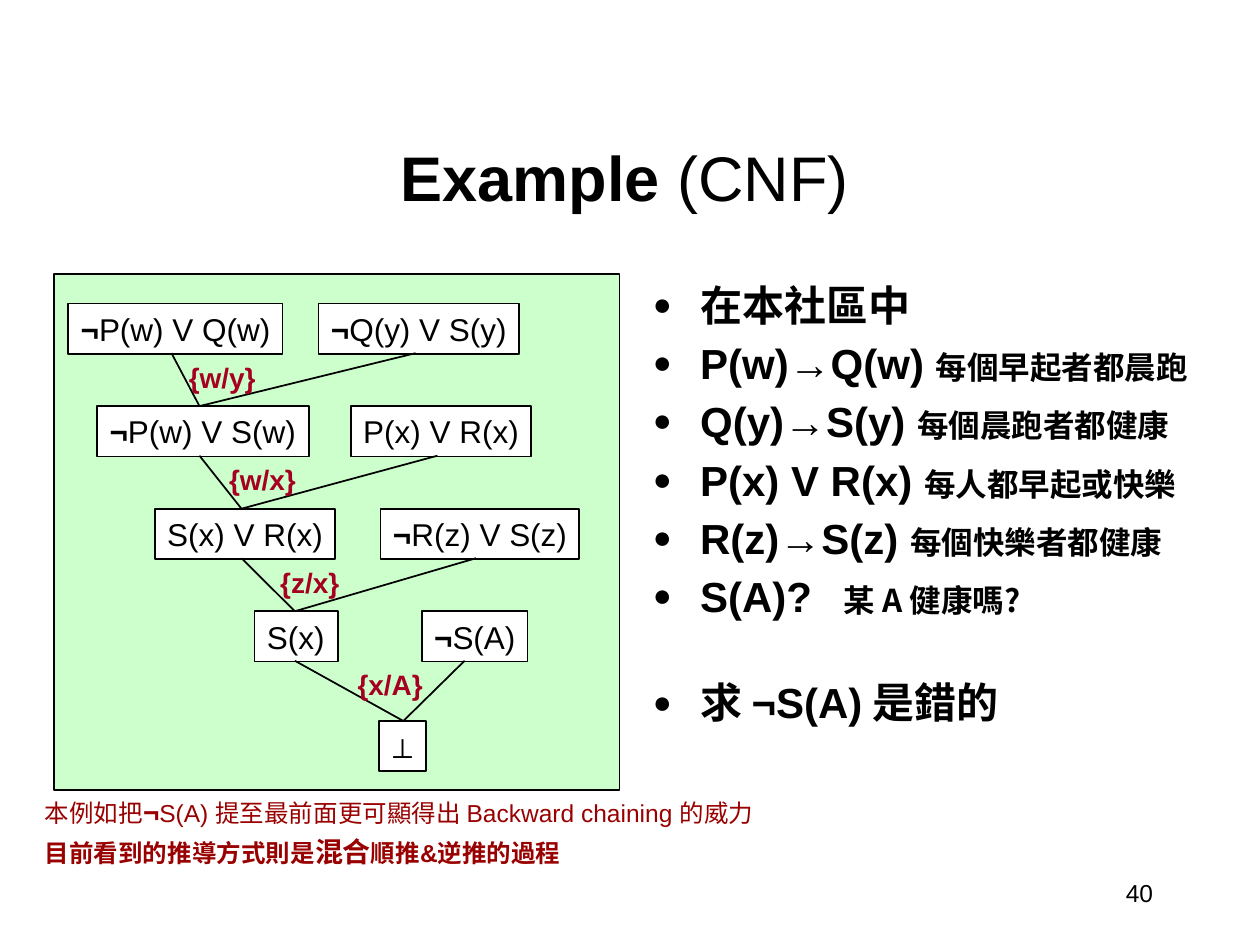
"""Build a slide showing a resolution proof in conjunctive normal form."""
from lxml import etree
from pptx import Presentation
from pptx.dml.color import RGBColor
from pptx.enum.shapes import MSO_CONNECTOR as CONN, MSO_SHAPE as SHAPE
from pptx.enum.text import MSO_ANCHOR as ANCHOR, MSO_AUTO_SIZE as AUTO, PP_ALIGN as ALIGN
from pptx.oxml.ns import qn
from pptx.util import Pt

BLACK, WHITE, GREEN, RED, DARK_RED = "000000", "FFFFFF", "CCFFCC", "A50021", "990000"
LATIN, CJK = "Arial", "Noto Sans CJK SC"

TITLE = [("Example ", 36, True), ("(CNF)", 36, False)]
FACTS = [
    ("在本社區中", ""),
    ("P(w)→Q(w) ", "每個早起者都晨跑"),
    ("Q(y)→S(y) ", "每個晨跑者都健康"),
    ("P(x) V R(x) ", "每人都早起或快樂"),
    ("R(z)→S(z) ", "每個快樂者都健康"),
    ("S(A)?", "\u3000某 A 健康嗎?"),
]
GOAL = [("求 ¬S(A)", 24, True), (" ", 20, True), ("是錯的", 24, True)]
NOTES = [
    [("本例如把", 14, False), ("¬", 16, True),
     ("S(A) 提至最前面更可顯得出 Backward chaining 的威力", 14, False)],
    [("目前看到的推導方式則是", 14, True), ("混合", 16, True),
     ("順推&逆推的過程", 14, True)],
]
CLAUSE_FIELDS = ("text", "left", "width", "joint")
CLAUSE_ROWS = [
    [("¬P(w) V Q(w)", 39, 122.5, 98), ("¬Q(y) V S(y)", 182, 114.5, 237.5)],
    [("¬P(w) V S(w)", 55.5, 121, 114), ("P(x) V R(x)", 200.5, 103, 250)],
    [("S(x) V R(x)", 88.5, 103, 138), ("¬R(z) V S(z)", 217.5, 113.5, 272)],
    [("S(x)", 145.5, 47.5, 168.5), ("¬S(A)", 241, 60.5, 265.5)],
    [("⊥", 216.5, 27, 230.5)],
]
JOINT = CLAUSE_FIELDS.index("joint")
UNIFIER_CENTERS = [("{w/y}", 127), ("{w/x}", 150), ("{z/x}", 177), ("{x/A}", 223)]
UNIFIER_W, UNIFIER_H = 64, 26.5
ROW_TOPS = [173.5 + 58.6 * i for i in range(4)] + [412]
BOX_H = 28.8


def rgb(value):
    return RGBColor.from_string(value)


def write(p, runs, color=BLACK, align=ALIGN.LEFT, before=0):
    p.alignment = align
    p.space_before = Pt(before)
    for text, size, bold, *face in runs:
        r = p.add_run()
        r.text = text
        font = r.font
        font.size, font.bold, font.name = Pt(size), bold, face[0] if face else LATIN
        font.color.rgb = rgb(color)
        latin = r._r.rPr.find(qn("a:latin"))
        latin.addnext(etree.Element(qn("a:ea"), typeface=CJK))


def add_bullet(p):
    pPr = p._p.get_or_add_pPr()
    pPr.set("marL", str(Pt(27)))
    pPr.set("indent", str(-Pt(27)))
    etree.SubElement(pPr, qn("a:buSzPct"), val="75000")
    etree.SubElement(pPr, qn("a:buFont"), typeface=LATIN)
    etree.SubElement(pPr, qn("a:buChar"), char="●")


def add_text(shapes, left, top, width, height, wrap=False):
    tf = shapes.add_textbox(Pt(left), Pt(top), Pt(width), Pt(height)).text_frame
    tf.word_wrap = wrap
    return tf


def add_rect(shapes, left, top, width, height, fill):
    sp = shapes.add_shape(SHAPE.RECTANGLE, Pt(left), Pt(top), Pt(width), Pt(height))
    sp.shadow.inherit = False
    sp.fill.solid()
    sp.fill.fore_color.rgb = rgb(fill)
    sp.line.color.rgb = rgb(BLACK)
    sp.line.width = Pt(1)
    return sp


def add_line(shapes, x1, y1, x2, y2):
    line = shapes.add_connector(CONN.STRAIGHT, Pt(x1), Pt(y1), Pt(x2), Pt(y2))
    line.line.color.rgb = rgb(BLACK)
    line.line.width = Pt(1)
    etree.SubElement(line._element.spPr, qn("a:effectLst"))


def clause_runs(text):
    if text.startswith("¬"):
        return [("¬", 18, True), (text[1:], 18, False)]
    return [(text, 18, text == "⊥")]


prs = Presentation()
prs.slide_width, prs.slide_height = Pt(720), Pt(540)
s = prs.slides.add_slide(prs.slide_layouts[5])

title = s.shapes.title
title.left, title.top, title.width, title.height = Pt(48), Pt(72), Pt(618), Pt(54)
tf = title.text_frame
tf.vertical_anchor, tf.auto_size = ANCHOR.BOTTOM, AUTO.NONE
write(tf.paragraphs[0], TITLE, align=ALIGN.CENTER)

tf = add_text(s.shapes, 366, 156, 329, 324, wrap=True)
items = [[(fact, 24, True)] + ([(gloss, 18, True, CJK)] if gloss else [])
         for fact, gloss in FACTS] + [GOAL]
for i, runs in enumerate(items):
    p = tf.add_paragraph() if i else tf.paragraphs[0]
    write(p, runs, before=32 if runs is GOAL else 4.5 if i else 6)
    add_bullet(p)

tf = add_text(s.shapes, 18.5, 450.5, 433, 49)
for i, runs in enumerate(NOTES):
    p = tf.add_paragraph() if i else tf.paragraphs[0]
    write(p, runs, DARK_RED, before=3.5)

tf = add_text(s.shapes, 618, 492, 48, 36)
tf.vertical_anchor = ANCHOR.MIDDLE
write(tf.paragraphs[0], [("40", 14, False)], align=ALIGN.RIGHT)

add_rect(s.shapes, 31, 156.5, 323, 295, GREEN)
proof = s.shapes.add_group_shape().shapes
for top, row in zip(ROW_TOPS, CLAUSE_ROWS):
    for text, left, width, joint in row:
        tf = add_rect(proof, left, top, width, BOX_H, WHITE).text_frame
        tf.word_wrap = False
        write(tf.paragraphs[0], clause_runs(text),
              align=ALIGN.CENTER if text == "⊥" else ALIGN.LEFT)

for i, (text, center) in enumerate(UNIFIER_CENTERS):
    bottom, next_top = ROW_TOPS[i] + BOX_H, ROW_TOPS[i + 1]
    resolvent = CLAUSE_ROWS[i + 1][0][JOINT]
    for clause in CLAUSE_ROWS[i]:
        add_line(proof, clause[JOINT], bottom - 0.5, resolvent, next_top)
    tf = add_text(proof, center - UNIFIER_W / 2, bottom, UNIFIER_W, UNIFIER_H)
    write(tf.paragraphs[0], [(text, 16, True)], RED, ALIGN.CENTER)

prs.save("out.pptx")
